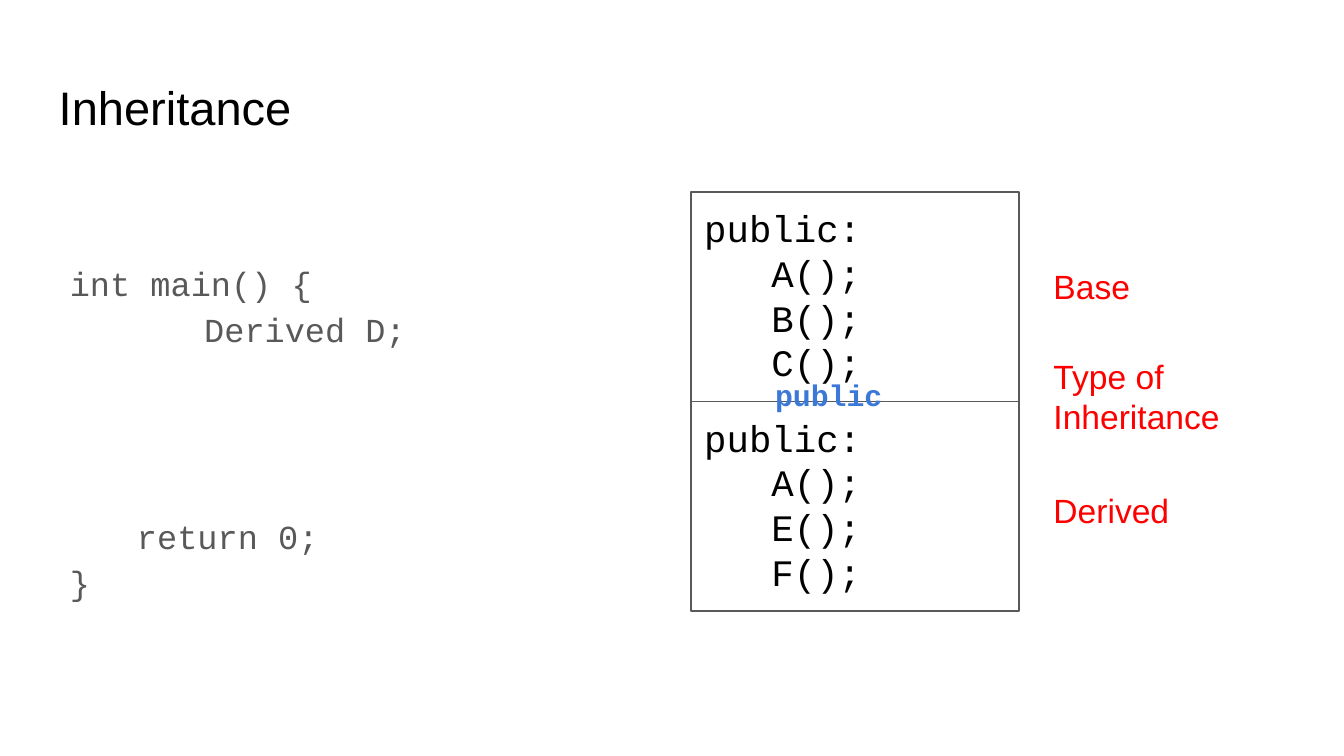
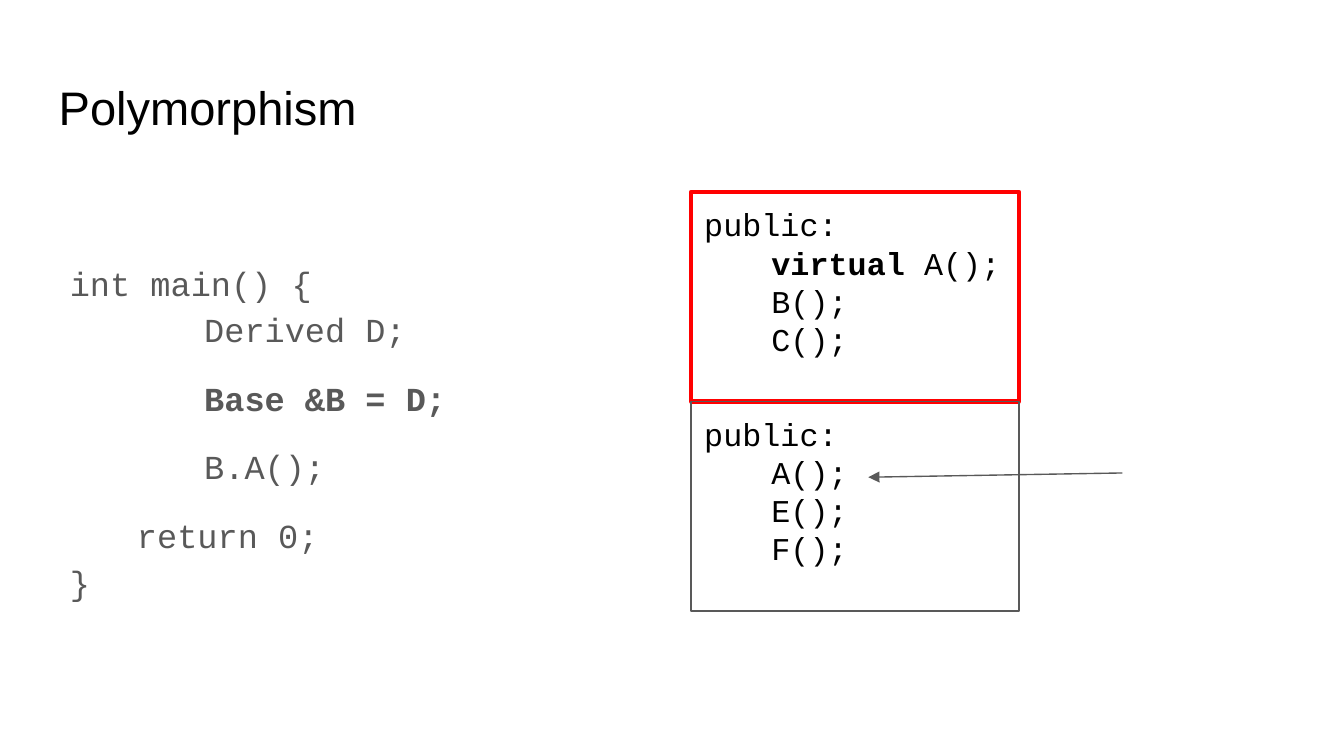
from lxml import etree
from pptx import Presentation
from pptx.dml.color import RGBColor
from pptx.enum.shapes import MSO_CONNECTOR, MSO_SHAPE
from pptx.enum.text import MSO_ANCHOR, MSO_AUTO_SIZE, PP_ALIGN
from pptx.oxml.ns import qn
from pptx.util import Cm, Pt

RECTANGLE = MSO_SHAPE.RECTANGLE
STRAIGHT = MSO_CONNECTOR.STRAIGHT
TOP = MSO_ANCHOR.TOP
LEFT = PP_ALIGN.LEFT
NO_FIT = MSO_AUTO_SIZE.NONE
GROW = MSO_AUTO_SIZE.SHAPE_TO_FIT_TEXT

COLORS = {"black": "000000", "gray": "595959", "red": "FF0000", "blue": "3C78D8"}
SANS, MONO = "Arial", "Courier New"
HALF_INCH = Cm(1.27)


def color(name):
    return RGBColor.from_string(COLORS[name])


def write(shape, lines, size, font=MONO, ink="black", spacing=None, fit=NO_FIT):
    """Each line is (runs, indent, space before); each run is (text, bold)."""
    frame = shape.text_frame
    frame.word_wrap = True
    frame.auto_size = fit
    frame.vertical_anchor = TOP
    frame.margin_left = frame.margin_right = Cm(0.25)
    frame.margin_top = frame.margin_bottom = Cm(0.25)
    for i, (runs, indent, before) in enumerate(lines):
        paragraph = frame.paragraphs[0] if i == 0 else frame.add_paragraph()
        paragraph.alignment = LEFT
        paragraph.space_before = Pt(before)
        if spacing:
            paragraph.line_spacing = spacing
        if indent:
            properties = paragraph._p.get_or_add_pPr()
            properties.set("marL", "0")
            properties.set("indent", str(indent))
        for text, bold in runs:
            run = paragraph.add_run()
            run.text = text
            run.font.name = font
            run.font.size = Pt(size)
            run.font.bold = bold
            run.font.color.rgb = color(ink)


prs = Presentation()
prs.slide_width, prs.slide_height = Cm(25.4), Cm(14.29)

# What differs between the slides: calls in main(), size of the code box,
# space before the return, members of the base class and its outline
topics = [
    {"title": "Inheritance", "calls": [], "code_size": (7.32, 7.44),
     "return_gap": 86, "member_size": 20, "base_line": ("gray", 0.75),
     "base_first": [("A();", False)]},
    {"title": "Polymorphism", "calls": [("Base &B = D;", True), ("B.A();", False)],
     "code_size": (8.89, 8.64), "return_gap": 12, "member_size": 17,
     "base_line": ("red", 2.25),
     "base_first": [("virtual", True), (" A();", False)]},
]

slides = []
for topic in topics:
    slide = prs.slides.add_slide(prs.slide_layouts[5])
    slides.append(slide)

    # Title
    title = slide.shapes.title
    title.left, title.top, title.width, title.height = Cm(0.86), Cm(1.24), Cm(23.67), Cm(1.6)
    write(title, [([(topic["title"], False)], 0, 0)], 25.2, font=SANS)

    # Code of main()
    code = [([("int main() {", False)], 0, 0),
            ([("Derived D;", False)], 2 * HALF_INCH, 0)]
    code += [([call], 2 * HALF_INCH, 12) for call in topic["calls"]]
    code += [([("return 0;", False)], HALF_INCH, topic["return_gap"]),
             ([("}", False)], 0, 0)]
    width, height = topic["code_size"]
    main_code = slide.shapes.add_textbox(Cm(1.07), Cm(4.6), Cm(width), Cm(height))
    write(main_code, code, 18, ink="gray", spacing=1.15)

    # Base class above derived class
    classes = [
        (topic["base_line"], [topic["base_first"], [("B();", False)], [("C();", False)]]),
        (("gray", 0.75), [[(name, False)] for name in ("A();", "E();", "F();")]),
    ]
    for row, ((line_color, line_width), members) in enumerate(classes):
        class_box = slide.shapes.add_shape(
            RECTANGLE, Cm(13.06), Cm(3.63 + row * 3.96), Cm(6.2), Cm(3.96))
        class_box.shadow.inherit = False
        class_box.fill.background()
        class_box.line.color.rgb = color(line_color)
        class_box.line.width = Pt(line_width)
        lines = [([("public:", False)], 0, 0)]
        lines += [(member, HALF_INCH, 0) for member in members]
        write(class_box, lines, topic["member_size"])

inheritance, polymorphism = slides

# Labels beside the classes, and the access word between them
labels = [
    ("Base", 19.66, 4.78, 5.79, 1.27, SANS, 18, "red", False),
    ("Derived", 19.66, 9.02, 5.79, 1.27, SANS, 18, "red", False),
    ("public", 14.4, 6.88, 11, 1.19, MONO, 16, "blue", True),
    ("Type of Inheritance", 19.66, 6.48, 5.79, 2.06, SANS, 18, "red", False),
]
for text, x, y, width, height, font, size, ink, bold in labels:
    label = inheritance.shapes.add_textbox(Cm(x), Cm(y), Cm(width), Cm(height))
    write(label, [([(text, bold)], 0, 0)], size, font=font, ink=ink, fit=GROW)

# Arrow to the method that gets called
call_arrow = polymorphism.shapes.add_connector(
    STRAIGHT, Cm(21.21), Cm(8.94), Cm(16.41), Cm(9.02))
call_arrow.line.color.rgb = color("gray")
call_arrow.line.width = Pt(0.75)
etree.SubElement(call_arrow.line._get_or_add_ln(), qn("a:tailEnd"), type="triangle")
etree.SubElement(call_arrow._element.spPr, qn("a:effectLst"))

prs.save("out.pptx")
